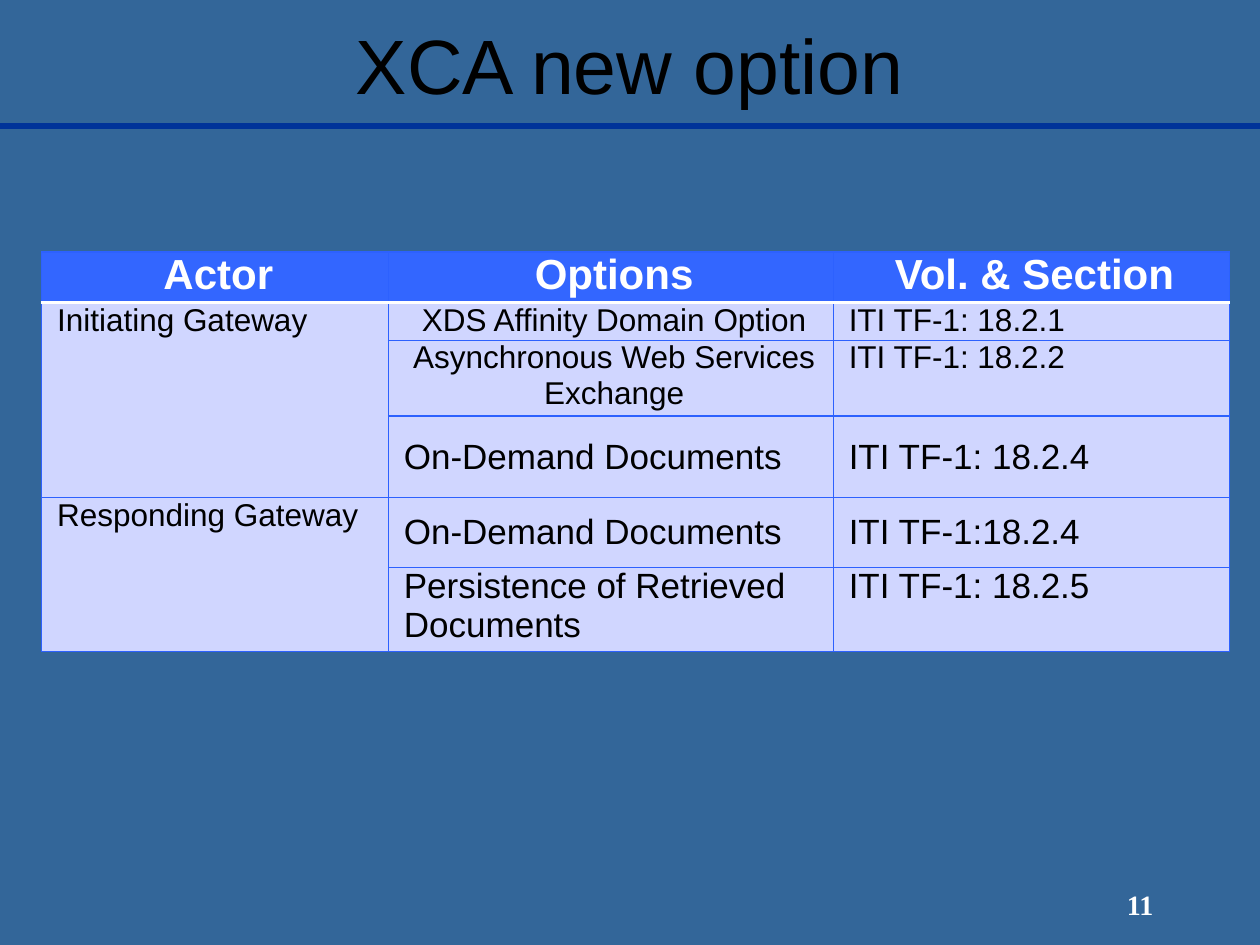
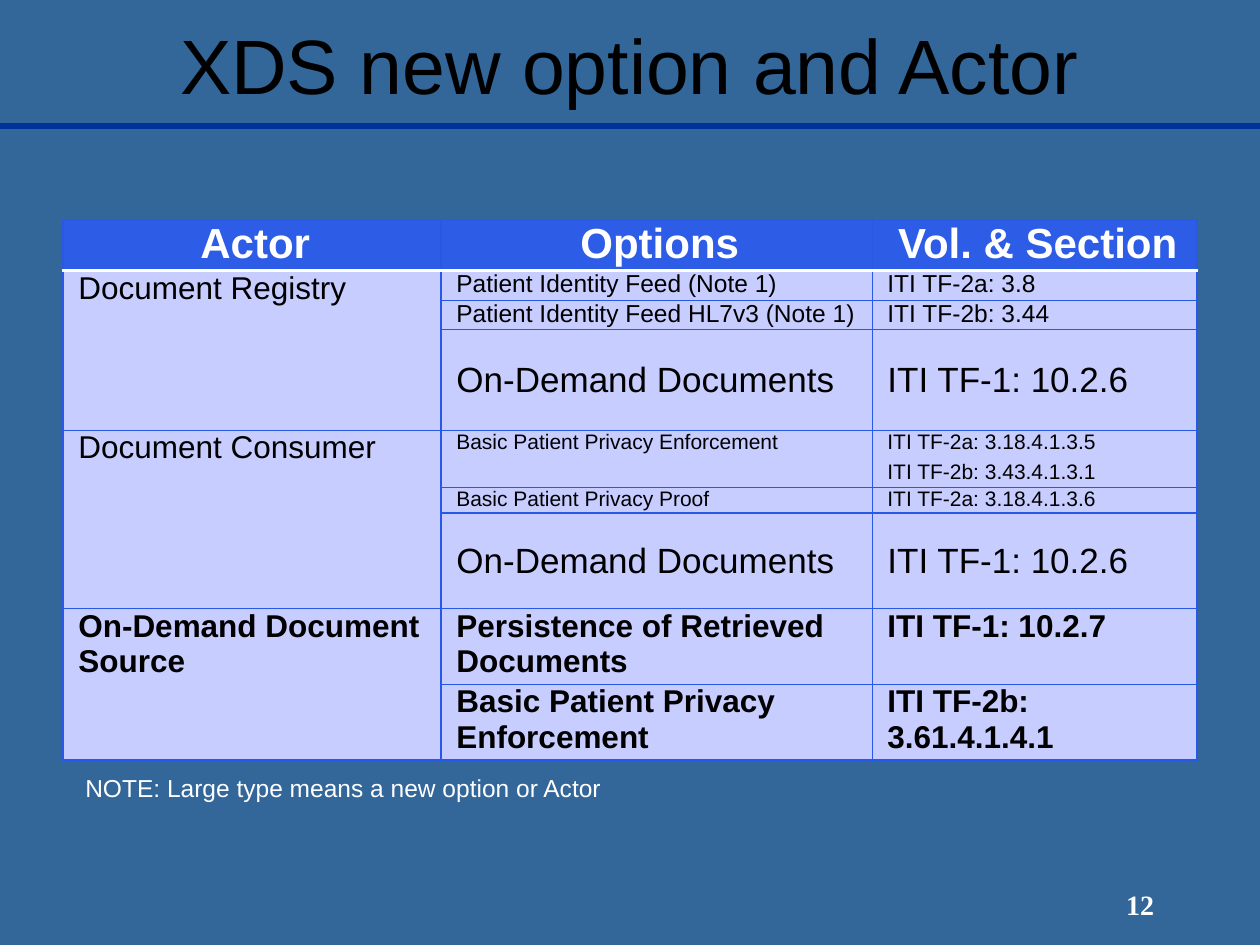
from dataclasses import dataclass

import pptx
import pptx.dml.color
import pptx.enum.shapes
import pptx.enum.text
import pptx.oxml
import pptx.oxml.ns
import pptx.util

Cm = pptx.util.Cm
Pt = pptx.util.Pt
RGB = pptx.dml.color.RGBColor
Align = pptx.enum.text.PP_ALIGN
Anchor = pptx.enum.text.MSO_ANCHOR

BACK = RGB(0x33, 0x66, 0x99)
RULE = RGB(0x00, 0x33, 0x99)
BLACK = RGB(0, 0, 0)
WHITE = RGB(0xFF, 0xFF, 0xFF)
SANS = "Arial"
SERIF = "Times New Roman"
HEADS = ("Actor", "Options", "Vol. & Section")
NSDECL = pptx.oxml.ns.nsdecls("a")


@dataclass(frozen=True)
class Row:
    """One option of an actor; a newline starts a new paragraph."""
    high: float
    option: str
    section: str
    size: int
    centre: bool = False
    middle: bool = False


@dataclass(frozen=True)
class Group:
    """An actor whose cell spans all its options."""
    actor: str
    rows: tuple[Row, ...]
    bold: bool = False


@dataclass(frozen=True)
class Grid:
    """Place, colours and content of a table; lengths in cm."""
    left: float
    top: float
    cols: tuple[float, ...]
    head: float
    dark: RGB
    light: RGB
    edge: RGB
    groups: tuple[Group, ...]


@dataclass(frozen=True)
class Page:
    """Title, number, table and note of a slide."""
    title: str
    number: int
    grid: Grid
    note: str = ""


XCA = Grid(0.84, 5.08, (6.99, 8.97, 7.98), 0.94,
           RGB(0x33, 0x66, 0xFF), RGB(0xD0, 0xD6, 0xFF), RGB(0x2D, 0x61, 0xFE), (
    Group("Initiating Gateway", (
        Row(0.71, "XDS Affinity Domain Option", "ITI TF-1: 18.2.1", 18, centre=True),
        Row(1.41, "Asynchronous Web Services Exchange", "ITI TF-1: 18.2.2", 18, centre=True),
        Row(1.65, "On-Demand Documents", "ITI TF-1: 18.2.4", 20, middle=True))),
    Group("Responding Gateway", (
        Row(1.4, "On-Demand Documents", "ITI TF-1:18.2.4", 20, middle=True),
        Row(1.57, "Persistence of Retrieved Documents", "ITI TF-1: 18.2.5", 20)))))

XDS = Grid(1.27, 4.44, (7.62, 8.69, 6.55), 0.95,
           RGB(0x2D, 0x5C, 0xE7), RGB(0xC8, 0xCD, 0xFF), RGB(0x27, 0x58, 0xE6), (
    Group("Document Registry", (
        Row(0.55, "Patient Identity Feed (Note 1)", "ITI TF-2a: 3.8", 14),
        Row(0.55, "Patient Identity Feed HL7v3 (Note 1)", "ITI TF-2b: 3.44", 14),
        Row(2.03, "On-Demand Documents", "ITI TF-1: 10.2.6", 20, middle=True))),
    Group("Document Consumer", (
        Row(1.09, "Basic Patient Privacy Enforcement",
            "ITI TF-2a: 3.18.4.1.3.5\nITI TF-2b: 3.43.4.1.3.1", 12),
        Row(0.48, "Basic Patient Privacy Proof", "ITI TF-2a: 3.18.4.1.3.6", 12),
        Row(1.93, "On-Demand Documents", "ITI TF-1: 10.2.6", 20, middle=True))),
    Group("On-Demand Document Source", (
        Row(1.42, "Persistence of Retrieved Documents", "ITI TF-1: 10.2.7", 18),
        Row(1.42, "Basic Patient Privacy Enforcement", "ITI TF-2b: 3.61.4.1.4.1", 18)),
        bold=True)))

PAGES = (
    Page("XCA new option", 11, XCA),
    Page("XDS new option and Actor", 12, XDS, "NOTE: Large type means a new option or Actor"),
)


def style(para, size: int, colour: RGB, bold: bool = False,
          align=Align.LEFT, face: str = SANS) -> None:
    """Set the font and alignment of a paragraph."""
    para.alignment = align
    para.font.name = face
    para.font.size = Pt(size)
    para.font.bold = bold
    para.font.color.rgb = colour


def label(slide, box: tuple[float, ...], text: str, size: int, colour: RGB, **look) -> None:
    """Add a text box; box is left, top, width and height in cm."""
    frame = slide.shapes.add_textbox(*map(Cm, box)).text_frame
    frame.word_wrap = True
    frame.vertical_anchor = Anchor.MIDDLE
    frame.text = text
    style(frame.paragraphs[0], size, colour, **look)


def rule(slide) -> None:
    """Draw the line below the title."""
    line = slide.shapes.add_connector(
        pptx.enum.shapes.MSO_CONNECTOR.STRAIGHT, 0, Cm(2.54), Cm(25.4), Cm(2.54))
    line.line.color.rgb = RULE
    line.line.width = Pt(3)
    effect = pptx.oxml.parse_xml(f"<a:effectLst {NSDECL}/>")
    line._element.spPr.append(effect)


def border(cell, side: str, colour: RGB, width: float) -> None:
    """Add one border (L, R, T or B) to a cell."""
    cell._tc.get_or_add_tcPr().append(pptx.oxml.parse_xml(
        f'<a:ln{side} {NSDECL} w="{Pt(width)}"><a:solidFill>'
        f'<a:srgbClr val="{colour}"/></a:solidFill></a:ln{side}>'))


def write(cell, text: str, size: int, colour: RGB, bold: bool = False,
          centre: bool = False, middle: bool = False) -> None:
    """Fill a cell with styled text."""
    cell.text_frame.text = text
    cell.vertical_anchor = Anchor.MIDDLE if middle else Anchor.TOP
    for para in cell.text_frame.paragraphs:
        style(para, size, colour, bold, Align.CENTER if centre else Align.LEFT)
        para.space_before = para.space_after = Pt(2)
        props = para._p.get_or_add_pPr()
        props.set("marL", str(Cm(0.13)))
        props.set("indent", "0")


def dress(table, grid: Grid) -> None:
    """Give all cells their margins, borders and fill."""
    for i, row in enumerate(table.rows):
        for cell in row.cells:
            cell.margin_left = cell.margin_right = Cm(0.18)
            cell.margin_top = cell.margin_bottom = 0
            for side in "LRTB":
                if (side, i) in (("B", 0), ("T", 1)):
                    border(cell, side, WHITE, 2)
                else:
                    border(cell, side, grid.edge, 0.75)
            cell.fill.solid()
            cell.fill.fore_color.rgb = grid.light if i else grid.dark


def chart(slide, grid: Grid) -> None:
    """Draw the table of actors and their options."""
    highs = [grid.head] + [row.high for group in grid.groups for row in group.rows]
    table = slide.shapes.add_table(
        len(highs), len(grid.cols), Cm(grid.left), Cm(grid.top),
        Cm(sum(grid.cols)), Cm(sum(highs))).table
    table.first_row = table.horz_banding = False
    for col, wide in zip(table.columns, grid.cols):
        col.width = Cm(wide)
    for line, high in zip(table.rows, highs):
        line.height = Cm(high)
    dress(table, grid)
    for j, head in enumerate(HEADS):
        write(table.cell(0, j), head, 24, WHITE, bold=True, centre=True)
    i = 1
    for group in grid.groups:
        actor = table.cell(i, 0)
        actor.merge(table.cell(i + len(group.rows) - 1, 0))
        write(actor, group.actor, 18, BLACK, group.bold)
        for row in group.rows:
            write(table.cell(i, 1), row.option, row.size, BLACK,
                  group.bold, row.centre, row.middle)
            write(table.cell(i, 2), row.section, row.size, BLACK,
                  group.bold, middle=row.middle)
            i += 1


def build(deck, page: Page) -> None:
    """Add one slide with its title, table, note and number."""
    slide = deck.slides.add_slide(deck.slide_layouts[6])
    rule(slide)
    label(slide, (1.9, 0.1, 21.6, 2.39), page.title, 44, BLACK, align=Align.CENTER)
    label(slide, (21.18, 17.6, 3.61, 1.27), str(page.number), 16, WHITE,
          bold=True, align=Align.CENTER, face=SERIF)
    chart(slide, page.grid)
    if page.note:
        label(slide, (1.47, 15.44, 11.86, 0.86), page.note, 14, WHITE)


def main() -> None:
    """Build and save the slides."""
    deck = pptx.Presentation()
    deck.slide_width, deck.slide_height = Cm(25.4), Cm(19.05)
    fill = deck.slide_master.background.fill
    fill.solid()
    fill.fore_color.rgb = BACK
    for page in PAGES:
        build(deck, page)
    deck.save("out.pptx")


main()
